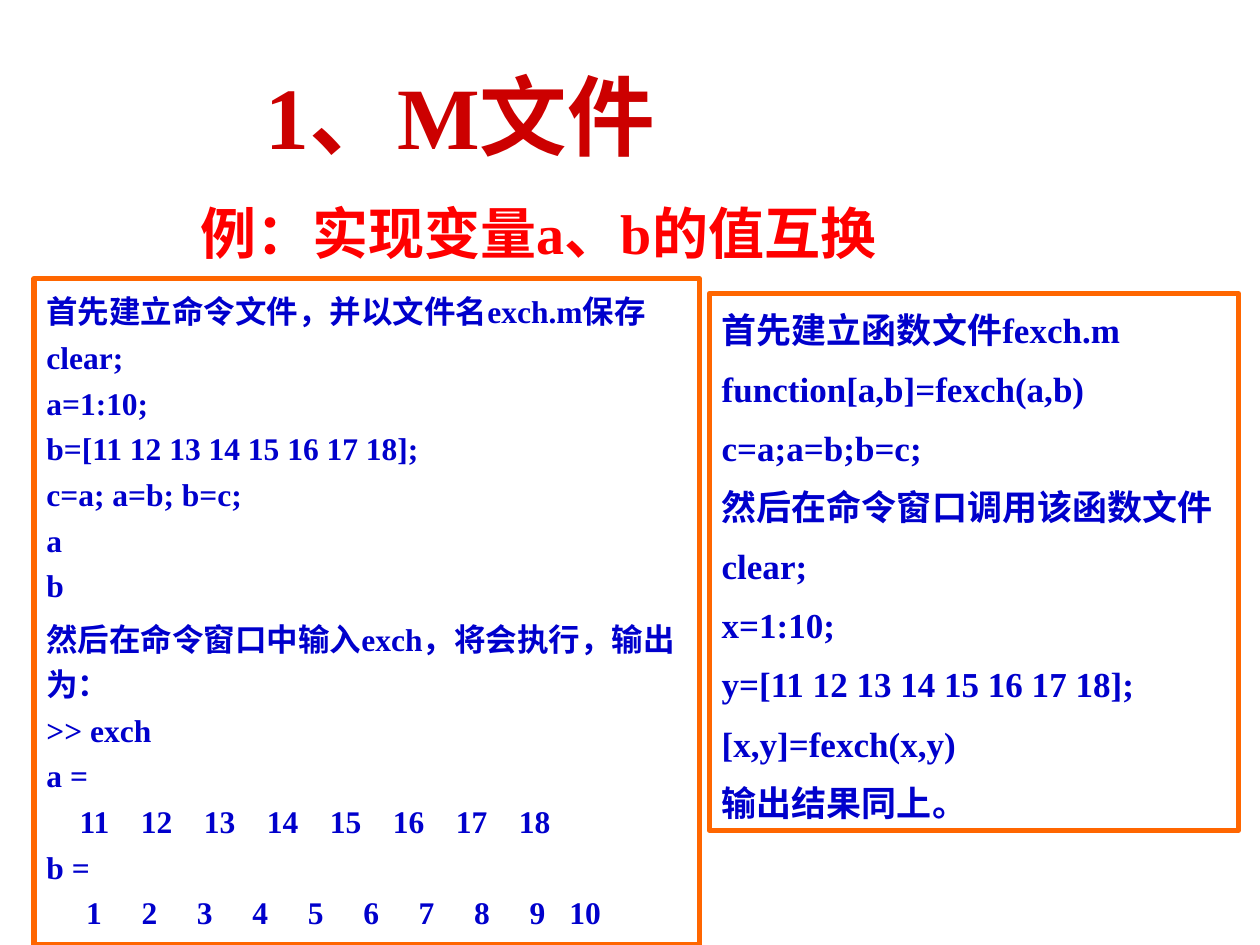
"""Build a slide that compares a command file with a function file for swapping two variables."""
from dataclasses import dataclass

from lxml import etree
from pptx import Presentation
from pptx.dml.color import RGBColor
from pptx.enum.shapes import MSO_SHAPE
from pptx.enum.text import MSO_ANCHOR, MSO_AUTO_SIZE, PP_ALIGN
from pptx.oxml.ns import qn
from pptx.util import Inches, Pt

RECTANGLE = MSO_SHAPE.RECTANGLE
TOP, MIDDLE = MSO_ANCHOR.TOP, MSO_ANCHOR.MIDDLE
LEFT = PP_ALIGN.LEFT
NO_FIT, GROW = MSO_AUTO_SIZE.NONE, MSO_AUTO_SIZE.SHAPE_TO_FIT_TEXT


@dataclass(frozen=True)
class Style:
    size: int
    color: RGBColor


@dataclass(frozen=True)
class Theme:
    font: str = "Times New Roman"
    title: Style = Style(50, RGBColor(0xCC, 0x00, 0x00))
    example: Style = Style(32, RGBColor(0xFF, 0x00, 0x00))
    command: Style = Style(18, RGBColor(0x00, 0x00, 0xCC))
    function: Style = Style(20, RGBColor(0x00, 0x00, 0xCC))
    border: RGBColor = RGBColor(0xFF, 0x66, 0x00)
    border_width: int = 3
    loose: float = 1.2
    space_ratio: float = 0.25


@dataclass(frozen=True)
class Box:
    left: float
    top: float
    width: float
    height: float

    def lengths(self) -> tuple:
        """Return the four lengths of the box."""
        return tuple(map(Inches, (self.left, self.top, self.width, self.height)))


@dataclass(frozen=True)
class Line:
    text: str
    spacing: float = 1.0


@dataclass(frozen=True)
class NumberRow:
    values: range
    pitch: float
    spacing: float = 1.0

    @property
    def text(self) -> str:
        """Return the values, each led by a tab."""
        return "".join(f"\t{value}" for value in self.values)


@dataclass(frozen=True)
class Panel:
    box: Box
    style: Style
    fit: MSO_AUTO_SIZE
    lines: tuple


THEME = Theme()

COMMAND_PANEL = Panel(
    Box(0.27, 2.21, 5.28, 5.29), THEME.command, NO_FIT,
    (
        Line("首先建立命令文件，并以文件名exch.m保存", THEME.loose),
        Line("clear;"),
        Line("a=1:10;"),
        Line("b=[11 12 13 14 15 16 17 18];"),
        Line("c=a; a=b; b=c;"),
        Line("a"),
        Line("b"),
        Line("然后在命令窗口中输入exch，将会执行，输出为：", THEME.loose),
        Line(">> exch"),
        Line("a ="),
        NumberRow(range(11, 19), 0.5),
        Line("b ="),
        NumberRow(range(1, 11), 0.44),
    ),
)

FUNCTION_PANEL = Panel(
    Box(5.63, 2.33, 4.2, 4.26), THEME.function, GROW,
    tuple(Line(text, THEME.loose) for text in (
        "首先建立函数文件fexch.m",
        "function[a,b]=fexch(a,b)",
        "c=a;a=b;b=c;",
        "然后在命令窗口调用该函数文件",
        "clear;",
        "x=1:10;",
        "y=[11 12 13 14 15 16 17 18];",
        "[x,y]=fexch(x,y)",
        "输出结果同上。",
    )),
)


def write_run(paragraph, text: str, style: Style) -> None:
    """Add one bold, left-aligned run to a paragraph."""
    paragraph.alignment = LEFT
    run = paragraph.add_run()
    run.text = text
    run.font.name = THEME.font
    run.font.size = Pt(style.size)
    run.font.bold = True
    run.font.color.rgb = style.color


def fill_placeholder(placeholder, box: Box, text: str, style: Style, anchor: MSO_ANCHOR):
    """Move a placeholder, write its text and return the paragraph."""
    placeholder.left, placeholder.top, placeholder.width, placeholder.height = box.lengths()
    frame = placeholder.text_frame
    frame.auto_size = NO_FIT
    frame.vertical_anchor = anchor
    paragraph = frame.paragraphs[0]
    write_run(paragraph, text, style)
    return paragraph


def remove_bullet(paragraph) -> None:
    """Take the bullet and its indent off a paragraph."""
    properties = paragraph._p.get_or_add_pPr()
    properties.set("marL", "0")
    properties.set("indent", "0")
    etree.SubElement(properties, qn("a:buNone"))


def add_right_tabs(paragraph, row: NumberRow) -> None:
    """Set evenly spaced right tab stops, one for each number."""
    tabs = etree.SubElement(paragraph._p.get_or_add_pPr(), qn("a:tabLst"))
    for number in range(1, len(row.values) + 1):
        position = Inches(number * row.pitch)
        etree.SubElement(tabs, qn("a:tab"), pos=str(int(position)), algn="r")


def draw_panel(slide, panel: Panel) -> None:
    """Draw a bordered panel with its lines of code."""
    shape = slide.shapes.add_shape(RECTANGLE, *panel.box.lengths())
    shape.shadow.inherit = False
    shape.fill.background()
    shape.line.color.rgb = THEME.border
    shape.line.width = Pt(THEME.border_width)
    frame = shape.text_frame
    frame.word_wrap = True
    frame.auto_size = panel.fit
    frame.vertical_anchor = TOP
    for index, line in enumerate(panel.lines):
        paragraph = frame.add_paragraph() if index else frame.paragraphs[0]
        paragraph.line_spacing = line.spacing
        paragraph.space_before = Pt(panel.style.size * THEME.space_ratio)
        write_run(paragraph, line.text, panel.style)
        if isinstance(line, NumberRow):
            add_right_tabs(paragraph, line)


def main() -> None:
    """Build and save the presentation."""
    presentation = Presentation()
    presentation.slide_width, presentation.slide_height = Inches(10), Inches(7.5)
    slide = presentation.slides.add_slide(presentation.slide_layouts[1])
    fill_placeholder(slide.shapes.title, Box(2.01, 0.28, 7.49, 1.25),
                     "1、M文件", THEME.title, MIDDLE)
    example = fill_placeholder(slide.placeholders[1], Box(1.49, 1.42, 8.59, 0.79),
                               "例：实现变量a、b的值互换", THEME.example, TOP)
    remove_bullet(example)
    example.line_spacing = THEME.loose
    for panel in (COMMAND_PANEL, FUNCTION_PANEL):
        draw_panel(slide, panel)
    presentation.save("out.pptx")


if __name__ == "__main__":
    main()
